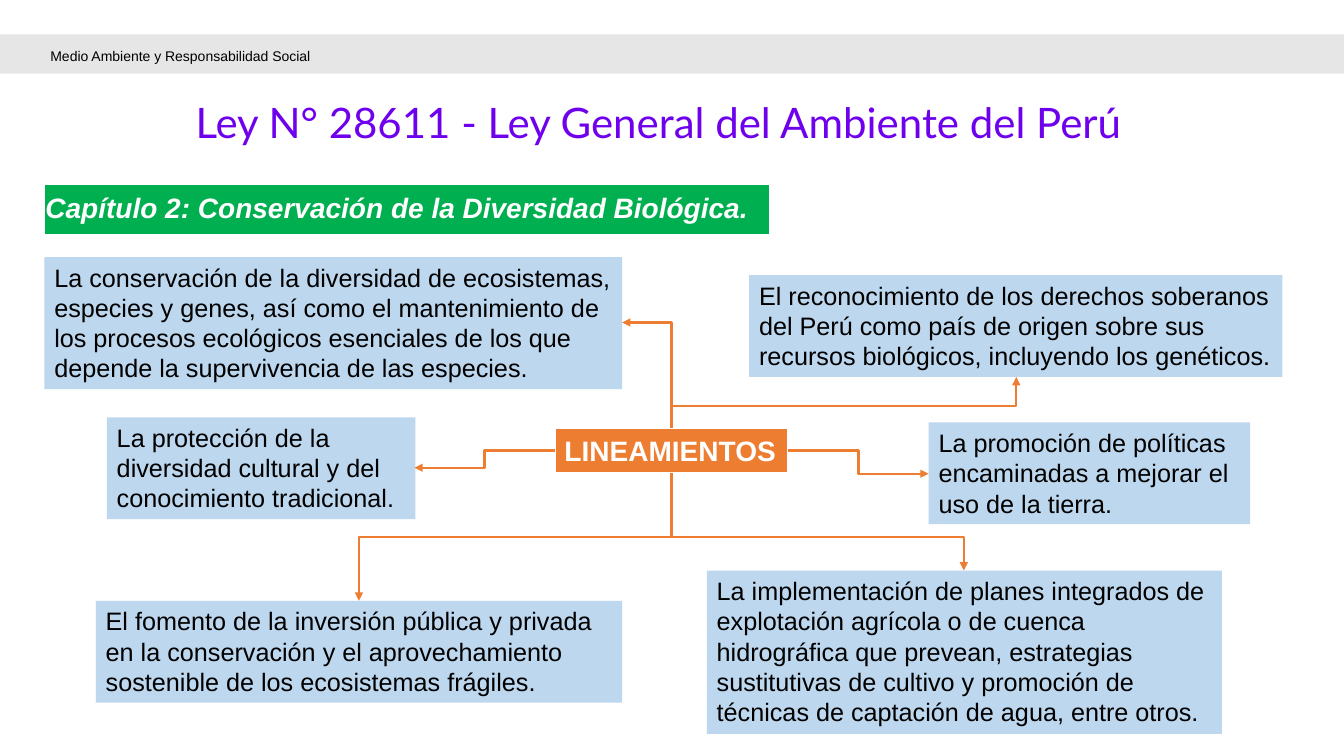
"""Build the slide on the guidelines of chapter 2 of Peru's environment law."""
import pptx
import pptx.util
import pptx.dml.color
import pptx.enum.shapes
import pptx.enum.text
import pptx.oxml
import pptx.oxml.ns
from pptx.util import Inches

COLORS = {
    "band": "E7E6E6", "title": "6E00ED", "chapter": "00B050",
    "hub": "ED7D31", "guideline": "BDD7EE", "white": "FFFFFF", "black": "000000",
}

GUIDELINES = [
    ((0.44, 2.55, 5.73, 1.31),
     "La conservación de la diversidad de ecosistemas, especies y genes, así como el "
     "mantenimiento de los procesos ecológicos esenciales de los que depende la "
     "supervivencia de las especies."),
    ((7.43, 2.73, 5.29, 1.01),
     "El reconocimiento de los derechos soberanos del Perú como país de origen sobre sus "
     "recursos biológicos, incluyendo los genéticos."),
    ((1.06, 4.14, 3.06, 1.01),
     "La protección de la diversidad cultural y del conocimiento tradicional."),
    ((9.21, 4.19, 3.19, 1.01),
     "La promoción de políticas encaminadas a mejorar el uso de la tierra."),
    ((0.95, 5.96, 5.22, 1.01),
     "El fomento de la inversión pública y privada en la conservación y el "
     "aprovechamiento sostenible de los ecosistemas frágiles."),
    ((7.01, 5.66, 5.11, 1.62),
     "La implementación de planes integrados de explotación agrícola o de cuenca "
     "hidrográfica que prevean, estrategias sustitutivas de cultivo y promoción de "
     "técnicas de captación de agua, entre otros."),
]

HUB_BOX = (5.5, 4.25, 2.32, 0.44)
HUB_TOP, HUB_BOTTOM = (6.66, 4.25), (6.66, 4.69)
HUB_LEFT, HUB_RIGHT = (5.5, 4.47), (7.82, 4.47)

ARROWS = [
    (HUB_TOP, (6.17, 3.2), "up", None),
    (HUB_TOP, (10.08, 3.74), "up", 0.44),
    (HUB_LEFT, (4.11, 4.64), "left", 0.5),
    (HUB_RIGHT, (9.21, 4.7), "right", 0.5),
    (HUB_BOTTOM, (3.56, 5.96), "down", 0.5),
    (HUB_BOTTOM, (9.56, 5.66), "down", 0.66),
]


def rgb(color):
    """Return the named colour."""
    return pptx.dml.color.RGBColor.from_string(COLORS[color])


def add_panel(slide, box, fill, outline=None, width=1):
    """Add a filled rectangle with an optional outline."""
    panel = slide.shapes.add_shape(
        pptx.enum.shapes.MSO_SHAPE.RECTANGLE, *map(Inches, box))
    panel.shadow.inherit = False
    panel.fill.solid()
    panel.fill.fore_color.rgb = rgb(fill)
    if outline:
        panel.line.color.rgb = rgb(outline)
        panel.line.width = pptx.util.Pt(width)
    else:
        panel.line.fill.background()
    return panel


def write(holder, text, *, size, color="black", font="Arial", bold=False, italic=False,
          spacing=None, anchor="TOP", inset=None, wrap=True):
    """Write one left-aligned paragraph into a shape."""
    frame = holder.text_frame
    frame.word_wrap = wrap
    frame.vertical_anchor = pptx.enum.text.MSO_ANCHOR[anchor]
    if inset is not None:
        frame.margin_left = frame.margin_right = Inches(inset)
        frame.margin_top = frame.margin_bottom = Inches(inset)
    paragraph = frame.paragraphs[0]
    paragraph.alignment = pptx.enum.text.PP_ALIGN.LEFT
    if spacing:
        paragraph.line_spacing = spacing
    run = paragraph.add_run()
    run.text = text
    run.font.name = font
    run.font.size = pptx.util.Pt(size)
    run.font.bold = bold
    run.font.italic = italic
    run.font.color.rgb = rgb(color)


def add_text(slide, box, text, **style):
    """Add a text box holding formatted text."""
    write(slide.shapes.add_textbox(*map(Inches, box)), text, **style)


def add_elbow_arrow(slide, start, end, heading, bend):
    """Add an elbow arrow that leaves start in the given heading; no bend means one corner."""
    dx, dy = end[0] - start[0], end[1] - start[1]
    angle, flipped = {
        "right": (0, dy < 0), "down": (90, dx > 0),
        "left": (180, dy > 0), "up": (270, dx < 0),
    }[heading]
    along, across = abs(dx), abs(dy)
    if heading in ("up", "down"):
        along, across = across, along
    middle_x, middle_y = (start[0] + end[0]) / 2, (start[1] + end[1]) / 2
    corners = (middle_x - along / 2, middle_y - across / 2,
               middle_x + along / 2, middle_y + across / 2)
    arrow = slide.shapes.add_connector(
        pptx.enum.shapes.MSO_CONNECTOR.ELBOW, *map(Inches, corners))
    arrow.line.color.rgb = rgb("hub")
    arrow.line.width = pptx.util.Pt(1.5)

    qn = pptx.oxml.ns.qn
    properties = arrow._element.spPr
    frame = properties.find(qn("a:xfrm"))
    frame.set("rot", str(angle * 60000))
    frame.set("flipV", str(int(flipped)))
    geometry = properties.find(qn("a:prstGeom"))
    if bend is None:
        geometry.set("prst", "bentConnector2")
    else:
        guide = pptx.oxml.parse_xml(
            f'<a:gd {pptx.oxml.ns.nsdecls("a")} name="adj1" fmla="val {round(bend * 100000)}"/>')
        geometry.find(qn("a:avLst")).append(guide)
    head = pptx.oxml.parse_xml(f'<a:tailEnd {pptx.oxml.ns.nsdecls("a")} type="triangle"/>')
    properties.find(qn("a:ln")).append(head)
    properties.append(pptx.oxml.parse_xml(f'<a:effectLst {pptx.oxml.ns.nsdecls("a")}/>'))


def main():
    """Build and save the slide."""
    deck = pptx.Presentation()
    deck.slide_width, deck.slide_height = Inches(13.33), Inches(7.5)
    slide = deck.slides.add_slide(deck.slide_layouts[6])

    add_panel(slide, (0, 0.34, 13.33, 0.39), "band")
    add_text(slide, (0.5, 0.39, 4.1, 0.32), "Medio Ambiente y Responsabilidad Social",
             size=10, spacing=1.5, inset=0)
    add_text(slide, (1.94, 1.02, 10.12, 0.52),
             "Ley N° 28611 - Ley General del Ambiente del Perú",
             size=30, color="title", font="Lato", spacing=0.6, anchor="MIDDLE", inset=0)

    chapter = add_panel(slide, (0.44, 1.83, 7.19, 0.5), "chapter", "white")
    write(chapter, "Capítulo 2: Conservación de la Diversidad Biológica.", size=20,
          color="white", bold=True, italic=True, spacing=0.9, anchor="MIDDLE", inset=0.01)

    hub = add_panel(slide, HUB_BOX, "hub", "white", 1.5)
    write(hub, "LINEAMIENTOS", size=20, color="white", bold=True, wrap=False)

    for box, text in GUIDELINES:
        write(add_panel(slide, box, "guideline"), text, size=18)
    for start, end, heading, bend in ARROWS:
        add_elbow_arrow(slide, start, end, heading, bend)

    deck.save("out.pptx")


if __name__ == "__main__":
    main()
